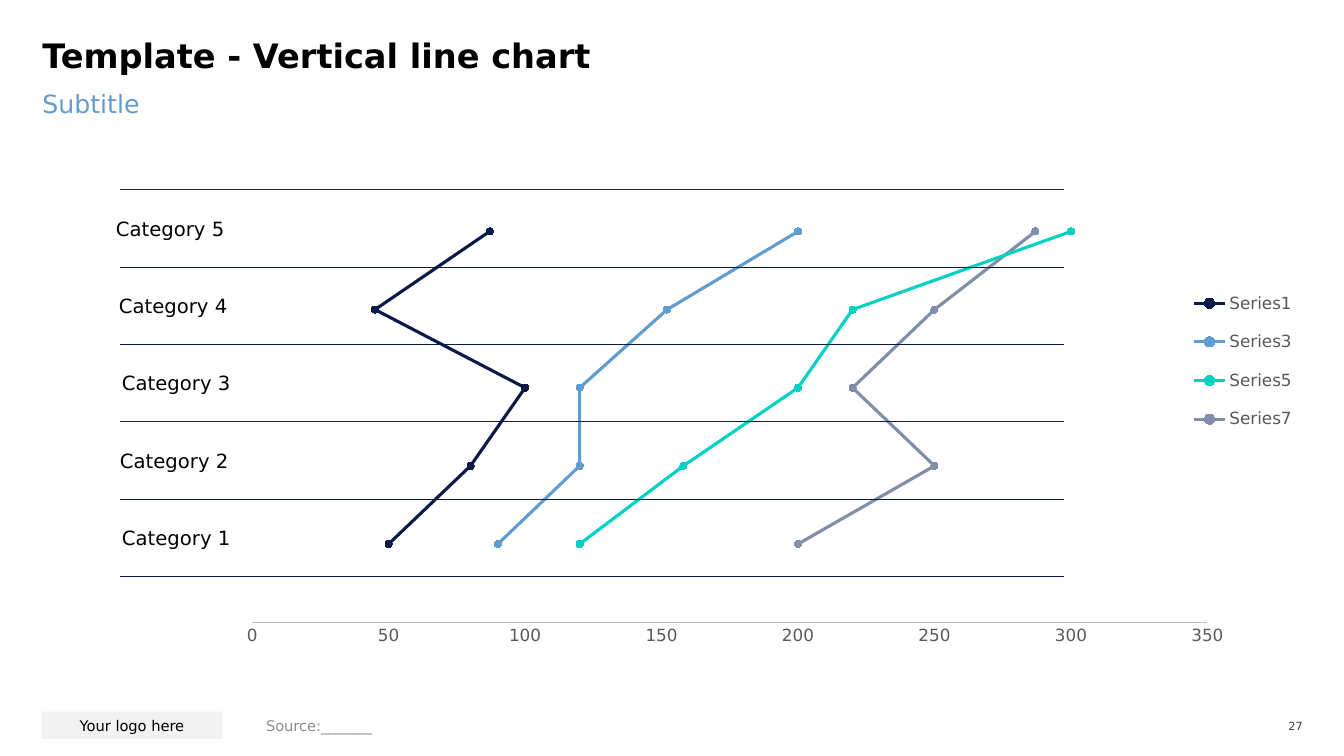
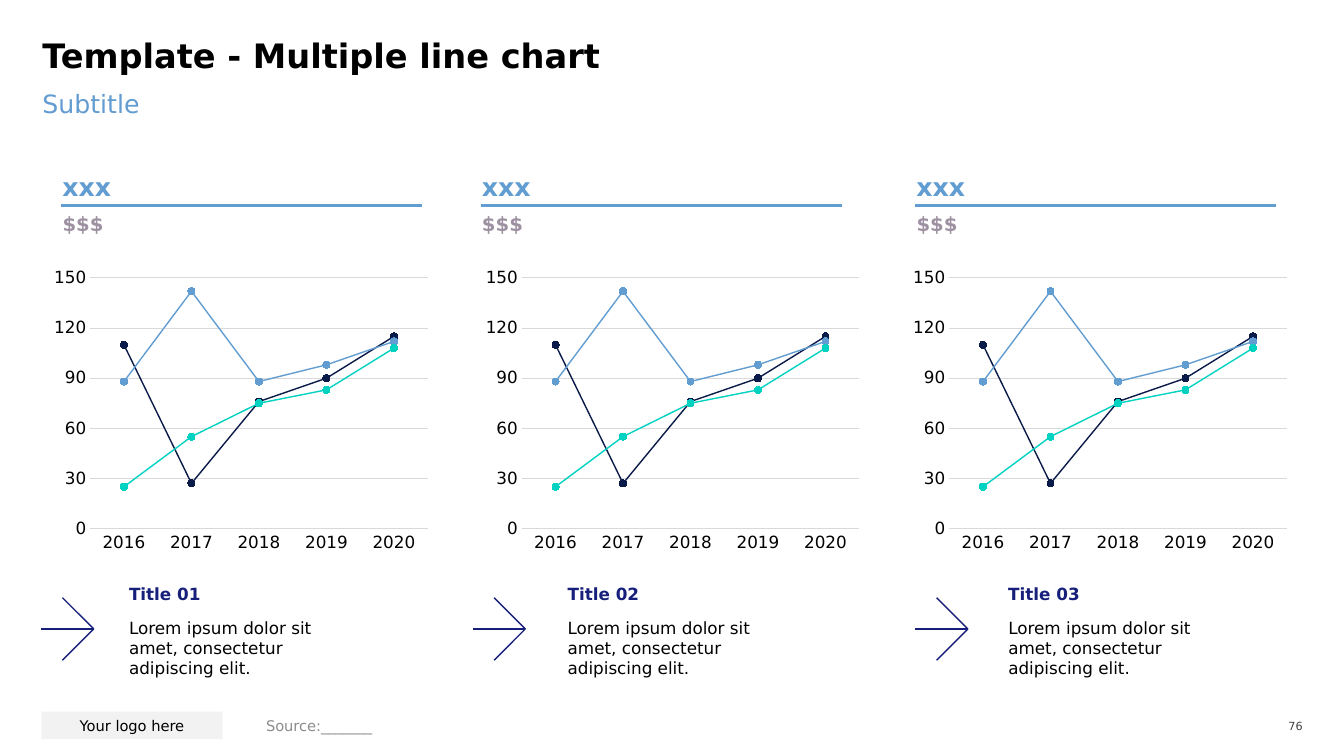
from lxml import etree
from pptx import Presentation
from pptx import util as u
from pptx.chart import data as chart_data
from pptx.dml.color import RGBColor
from pptx.enum import chart as chart_enum, shapes, text
from pptx.oxml import ns

FONT = "DejaVu Sans"
WHITE = RGBColor(0xFF, 0xFF, 0xFF)
BLACK = RGBColor(0, 0, 0)
NUMBER_GREY = RGBColor(0x40, 0x40, 0x40)
LABEL_GREY = RGBColor(0x59, 0x59, 0x59)
SOURCE_GREY = RGBColor(0x8C, 0x8C, 0x8C)
AXIS_GREY = RGBColor(0xBF, 0xBF, 0xBF)
GRID_GREY = RGBColor(0xD9, 0xD9, 0xD9)
PALE_GREY = RGBColor(0xF2, 0xF2, 0xF2)
SUBTITLE_BLUE = RGBColor(0x62, 0x9C, 0xD0)
NAVY = RGBColor(0x0A, 0x1A, 0x49)
BLUE = RGBColor(0x62, 0x9D, 0xD1)
TEAL = RGBColor(0x00, 0xD2, 0xC2)
SLATE = RGBColor(0x7F, 0x8F, 0xA9)
MAUVE = RGBColor(0x9D, 0x90, 0xA0)
INDIGO = RGBColor(0x16, 0x20, 0x7B)
SERIES_COLOURS = (NAVY, BLUE, TEAL, SLATE)

TOP, MIDDLE, BOTTOM = (text.MSO_ANCHOR.TOP, text.MSO_ANCHOR.MIDDLE,
                       text.MSO_ANCHOR.BOTTOM)
LEFT, CENTER, RIGHT = (text.PP_ALIGN.LEFT, text.PP_ALIGN.CENTER,
                       text.PP_ALIGN.RIGHT)

LEVELS = (20, 40, 60, 80, 100)
SCATTER_SERIES = (
    ("Series1", (50, 80, 100, 45, 87)),
    ("Series3", (90, 120, 120, 152, 200)),
    ("Series5", (120, 158, 200, 220, 300)),
    ("Series7", (200, 250, 220, 250, 287)),
)
CATEGORY_LABELS = (
    ("Category 5", 1.15),
    ("Category 4", 1.18),
    ("Category 3", 1.21),
    ("Category 2", 1.19),
    ("Category 1", 1.21),
)
YEARS = ("2016", "2017", "2018", "2019", "2020")
YEAR_SERIES = (
    ("Series 1", (110, 27, 76, 90, 115)),
    ("Series 2", (88, 142, 88, 98, 112)),
    ("Series 3", (25, 55, 75, 83, 108)),
)
PANELS = (
    ("Title 01", 0.61, 0.46, 0.41, 1.28),
    ("Title 02", 4.77, 4.74, 4.69, 5.63),
    ("Title 03", 9.08, 8.98, 9.08, 10),
)
LOREM = "Lorem ipsum dolor sit amet, consectetur adipiscing elit."


def inches(*lengths):
    """Convert plain numbers to lengths in inches."""
    return [u.Inches(length) for length in lengths]


def style_font(font, size, colour, bold=False):
    """Set the shared typeface with a size, colour and weight."""
    font.name = FONT
    font.size = u.Pt(size)
    font.bold = bold
    font.color.rgb = colour


def write(shape, words, size, colour, bold=False, align=LEFT, anchor=TOP,
          insets=(0, 0, 0, 0)):
    """Fill a shape with one paragraph and return that paragraph."""
    frame = shape.text_frame
    frame.word_wrap = True
    frame.vertical_anchor = anchor
    (frame.margin_left, frame.margin_top,
     frame.margin_right, frame.margin_bottom) = inches(*insets)
    para = frame.paragraphs[0]
    para.text = words
    para.alignment = align
    style_font(para.font, size, colour, bold)
    return para


def add_text(page, box, words, size, colour, **options):
    """Add a text box at the given left, top, width and height."""
    return write(page.shapes.add_textbox(*inches(*box)), words, size, colour,
                 **options)


def add_line(page, start, end, colour, width):
    """Draw a straight line without a shadow."""
    line = page.shapes.add_connector(shapes.MSO_CONNECTOR.STRAIGHT,
                                     *inches(*start, *end))
    line.line.color.rgb = colour
    line.line.width = u.Pt(width)
    etree.SubElement(line.element.spPr, ns.qn("a:effectLst"))


def add_page(deck, title, number):
    """Add a blank page with the shared title, subtitle and footer."""
    page = deck.slides.add_slide(deck.slide_layouts[6])
    page.background.fill.solid()
    page.background.fill.fore_color.rgb = WHITE
    add_text(page, (12.5, 7.09, 0.42, 0.23), number, 8, NUMBER_GREY,
             align=RIGHT, anchor=MIDDLE)
    badge = page.shapes.add_shape(shapes.MSO_SHAPE.RECTANGLE,
                                  *inches(0.41, 7.06, 1.8, 0.27))
    badge.shadow.inherit = False
    badge.fill.solid()
    badge.fill.fore_color.rgb = PALE_GREY
    badge.line.fill.background()
    write(badge, "Your logo here", 10.5, BLACK, align=CENTER, anchor=MIDDLE,
          insets=(0.1, 0.1, 0.1, 0.1))
    add_text(page, (0.42, 0.88, 12.49, 0.63), "Subtitle", 18, SUBTITLE_BLUE)
    heading = add_text(page, (0.42, 0.42, 12.49, 0.53), title, 24, BLACK,
                       bold=True)
    heading.line_spacing = 0.8
    add_text(page, (2.54, 7.07, 6.39, 0.26), "Source:_______", 10.5,
             SOURCE_GREY, anchor=MIDDLE, insets=(0.1, 0.05, 0.1, 0.05))
    return page


def add_chart(page, kind, box, values, line_width):
    """Add a chart with the shared font, series colours and markers."""
    chart = page.shapes.add_chart(kind, *inches(*box), values).chart
    chart.has_title = False
    chart.has_legend = False
    style_font(chart.font, 12, BLACK)
    plot = chart.plots[0]
    plot.vary_by_categories = False
    for series, colour in zip(plot.series, SERIES_COLOURS):
        series.format.line.color.rgb = colour
        series.format.line.width = u.Pt(line_width)
        marker = series.marker
        marker.style = chart_enum.XL_MARKER_STYLE.CIRCLE
        marker.size = 5
        marker.format.fill.solid()
        marker.format.fill.fore_color.rgb = colour
        marker.format.line.color.rgb = colour
    return chart


def style_axis(axis, label_colour, line_colour=None):
    """Give an axis plain labels, no ticks and an optional line."""
    axis.has_major_gridlines = False
    axis.major_tick_mark = chart_enum.XL_TICK_MARK.NONE
    axis.minor_tick_mark = chart_enum.XL_TICK_MARK.NONE
    style_font(axis.tick_labels.font, 12, label_colour)
    if line_colour is None:
        axis.format.line.fill.background()
    else:
        axis.format.line.color.rgb = line_colour
        axis.format.line.width = u.Pt(0.75)


def scale_axis(axis, maximum, step):
    """Run an axis from zero to a maximum in equal steps."""
    axis.minimum_scale = 0
    axis.maximum_scale = maximum
    axis.major_unit = step


def place_part(part, index, fractions, inner=False):
    """Fix a chart part at fractions of the chart's width and height."""
    for old in part.findall(ns.qn("c:layout")):
        part.remove(old)
    layout = etree.Element(ns.qn("c:layout"))
    manual = etree.SubElement(layout, ns.qn("c:manualLayout"))
    settings = [("layoutTarget", "inner")] if inner else []
    settings += [("xMode", "edge"), ("yMode", "edge")]
    settings += zip("xywh", map(str, fractions))
    for tag, value in settings:
        etree.SubElement(manual, ns.qn("c:" + tag)).set("val", value)
    part.insert(index, layout)


def add_vertical_chart(page, box):
    """Add the scatter chart whose lines run up the page."""
    values = chart_data.XyChartData()
    for name, amounts in SCATTER_SERIES:
        series = values.add_series(name)
        for amount, level in zip(amounts, LEVELS):
            series.add_data_point(amount, level)
    chart = add_chart(page, chart_enum.XL_CHART_TYPE.XY_SCATTER_LINES, box,
                      values, 2.25)
    style_axis(chart.category_axis, LABEL_GREY, AXIS_GREY)
    scale_axis(chart.category_axis, 350, 50)
    scale_axis(chart.value_axis, 120, 20)
    chart.value_axis.has_major_gridlines = False
    chart.value_axis.visible = False
    chart.has_legend = True
    chart.legend.position = chart_enum.XL_LEGEND_POSITION.RIGHT
    chart.legend.include_in_layout = False
    style_font(chart.legend.font, 12, LABEL_GREY)
    plot_area = chart.element.xpath("c:chart/c:plotArea")[0]
    place_part(plot_area, 0, (0.019, 0.029, 0.893, 0.893), inner=True)
    legend = chart.element.xpath("c:chart/c:legend")[0]
    place_part(legend, 1, (0.89, 0.26, 0.11, 0.33))


def add_category_rows(page, left, top, width, height):
    """Rule the category rows and label each of them."""
    row_height = height / len(CATEGORY_LABELS)
    for row in range(len(CATEGORY_LABELS) + 1):
        level = top + row * row_height
        add_line(page, (left, level), (left + width, level), NAVY, 0.5)
    for row, (label, label_left) in enumerate(CATEGORY_LABELS):
        add_text(page, (label_left, top + row * row_height, 1.86, row_height),
                 label, 14, BLACK, anchor=MIDDLE)


def add_panel_heading(page, left, top):
    """Add a panel heading, its rule and the unit below it."""
    add_text(page, (left + 0.01, top, 2.93, 0.34), "xxx", 18, BLUE,
             bold=True, anchor=BOTTOM)
    add_line(page, (left, top + 0.38), (left + 3.58, top + 0.38), BLUE, 2.25)
    add_text(page, (left + 0.01, top + 0.44, 1.32, 0.34), "$$$", 14, MAUVE,
             bold=True)


def add_year_chart(page, box):
    """Add a line chart of the yearly series."""
    values = chart_data.CategoryChartData()
    values.categories = YEARS
    for name, amounts in YEAR_SERIES:
        values.add_series(name, amounts)
    chart = add_chart(page, chart_enum.XL_CHART_TYPE.LINE_MARKERS, box,
                      values, 1)
    for series in chart.plots[0].series:
        series.smooth = False
    style_axis(chart.category_axis, BLACK, GRID_GREY)
    axis = chart.value_axis
    style_axis(axis, BLACK)
    scale_axis(axis, 150, 30)
    axis.has_major_gridlines = True
    axis.major_gridlines.format.line.color.rgb = GRID_GREY
    axis.major_gridlines.format.line.width = u.Pt(0.75)


def add_arrow(page, left, top):
    """Draw an open arrow that points right."""
    middle, tip = top + 0.31, left + 0.52
    for start in ((left + 0.21, top), (left + 0.21, top + 0.62),
                  (left, middle)):
        add_line(page, start, (tip, middle), INDIGO, 1)


def add_takeaway(page, left, top, title):
    """Add a short title with its explanation below."""
    insets = (0, 0.05, 0.1, 0.05)
    add_text(page, (left, top, 1.5, 0.31), title, 12, INDIGO, bold=True,
             anchor=BOTTOM, insets=insets)
    add_text(page, (left, top + 0.35, 2.08, 0.91), LOREM, 12, BLACK,
             insets=insets)


def build_vertical_page(deck):
    """Build the page with the vertical line chart."""
    page = add_page(deck, "Template - Vertical line chart", "27")
    add_vertical_chart(page, (2.3, 1.37, 10.61, 5.21))
    add_category_rows(page, 1.19, 1.88, 9.36, 3.84)


def build_multiple_page(deck):
    """Build the page with three line chart panels."""
    page = add_page(deck, "Template - Multiple line chart", "76")
    for title, heading_left, chart_left, arrow_left, text_left in PANELS:
        add_panel_heading(page, heading_left, 1.66)
        add_year_chart(page, (chart_left, 2.6, 3.86, 2.94))
        add_arrow(page, arrow_left, 5.93)
        add_takeaway(page, text_left, 5.73, title)


def main():
    """Build and save the deck."""
    deck = Presentation()
    deck.slide_width, deck.slide_height = inches(13.33, 7.5)
    build_vertical_page(deck)
    build_multiple_page(deck)
    deck.save("out.pptx")


if __name__ == "__main__":
    main()
